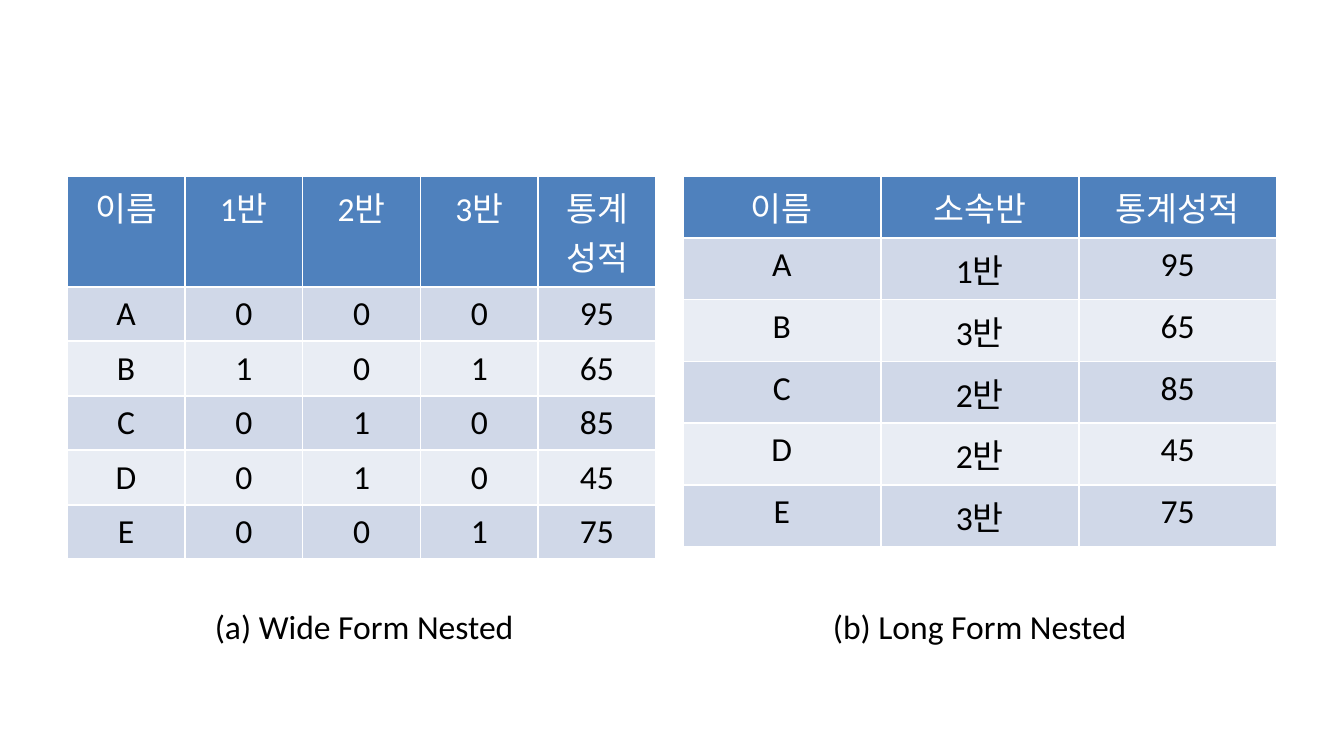
from typing import NamedTuple

from pptx import Presentation
from pptx import util as u
from pptx.dml.color import RGBColor
from pptx.enum import text

BLUE = RGBColor(0x4F, 0x81, 0xBD)
DARK = RGBColor(0xD0, 0xD8, 0xE8)
LIGHT = RGBColor(0xE9, 0xED, 0xF4)
WHITE = RGBColor(0xFF, 0xFF, 0xFF)
BLACK = RGBColor(0x00, 0x00, 0x00)

WIDE = 10
TOP = 1.31
CAP_TOP = 4.46
CAP_WIDE = 4.42
CAP_HIGH = 0.56


class Panel(NamedTuple):
    left: float
    width: float
    head: float
    row: float
    title: str
    data: list[str]


PANELS = [
    Panel(0.5, 4.38, 0.81, 0.4, "(a) Wide Form Nested", [
        "이름 1반 2반 3반 통계성적",
        "A 0 0 0 95",
        "B 1 0 1 65",
        "C 0 1 0 85",
        "D 0 1 0 45",
        "E 0 0 1 75",
    ]),
    Panel(5.08, 4.42, 0.46, 0.46, "(b) Long Form Nested", [
        "이름 소속반 통계성적",
        "A 1반 95",
        "B 3반 65",
        "C 2반 85",
        "D 2반 45",
        "E 3반 75",
    ]),
]


def write(frame, words: str, *, color=BLACK, size=18, name="Calibri") -> None:
    """Fill a text frame with one centred paragraph."""
    frame.word_wrap = True
    para = frame.paragraphs[0]
    para.alignment = text.PP_ALIGN.CENTER
    run = para.add_run()
    run.text = words
    run.font.size = u.Pt(size)
    run.font.name = name
    run.font.bold = False
    run.font.color.rgb = color


def draw_grid(slide, panel: Panel) -> None:
    cells = [line.split() for line in panel.data]
    rows, cols = len(cells), len(cells[0])
    high = panel.head + panel.row * (rows - 1)
    grid = slide.shapes.add_table(
        rows, cols, u.Inches(panel.left), u.Inches(TOP),
        u.Inches(panel.width), u.Inches(high)).table
    for col in grid.columns:
        col.width = u.Inches(panel.width / cols)
    for r, line in enumerate(cells):
        grid.rows[r].height = u.Inches(panel.row if r else panel.head)
        fill = BLUE if r == 0 else DARK if r % 2 else LIGHT
        for c, words in enumerate(line):
            cell = grid.cell(r, c)
            cell.fill.solid()
            cell.fill.fore_color.rgb = fill
            write(cell.text_frame, words, color=BLACK if r else WHITE)


def draw_title(slide, panel: Panel) -> None:
    box = slide.shapes.add_textbox(
        u.Inches(panel.left), u.Inches(CAP_TOP),
        u.Inches(CAP_WIDE), u.Inches(CAP_HIGH))
    write(box.text_frame, panel.title)


def main() -> None:
    deck = Presentation()
    deck.slide_width = u.Inches(WIDE)
    deck.slide_height = u.Inches(WIDE * 9 / 16)
    slide = deck.slides.add_slide(deck.slide_layouts[6])
    for panel in PANELS:
        draw_grid(slide, panel)
        draw_title(slide, panel)
    deck.save("out.pptx")


if __name__ == "__main__":
    main()
